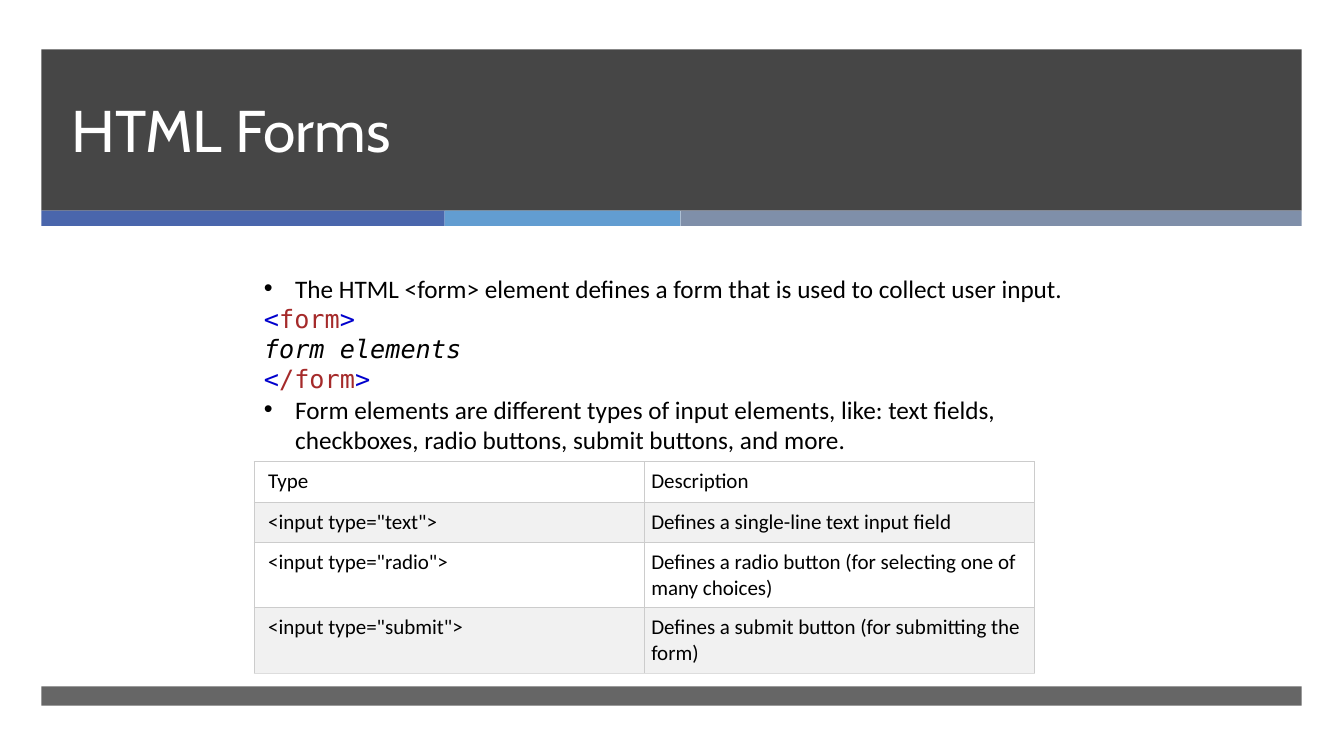
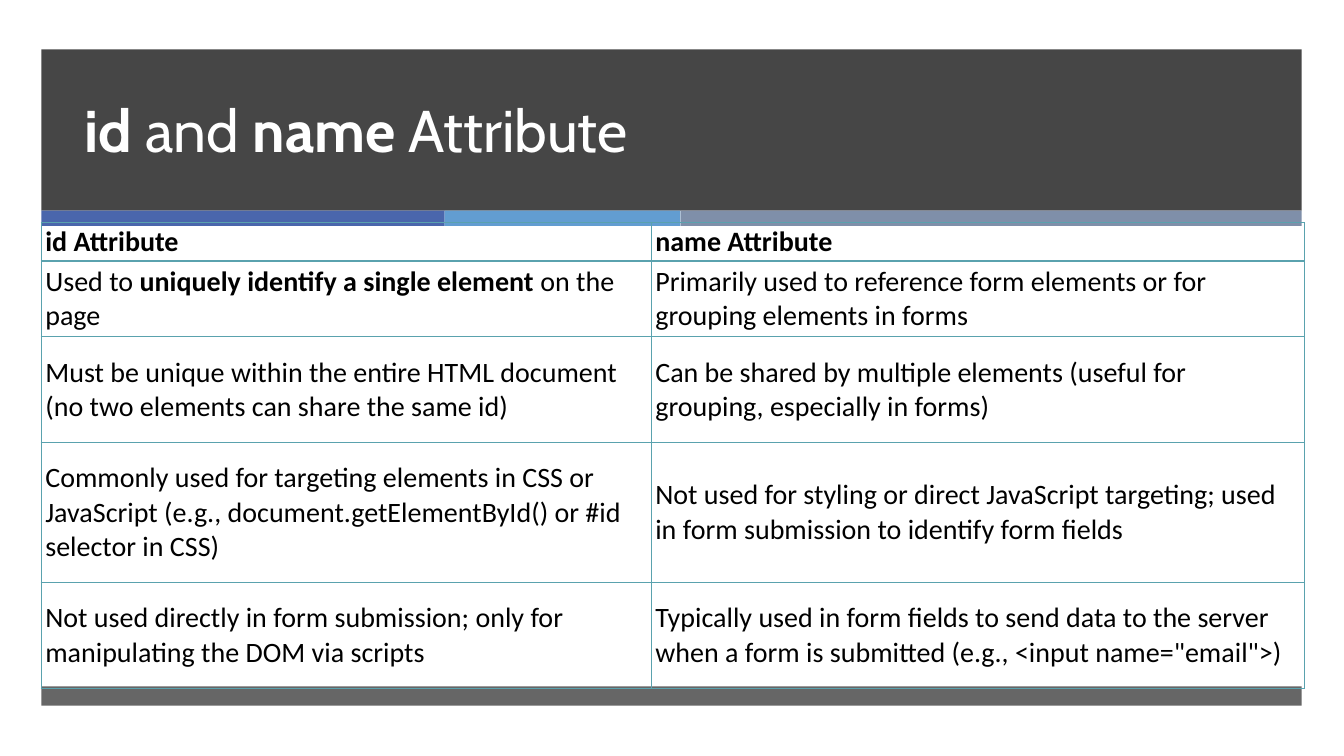
from lxml.etree import SubElement
from pptx import Presentation
from pptx.dml.color import RGBColor
from pptx.enum.shapes import MSO_SHAPE
from pptx.enum.text import MSO_ANCHOR
from pptx.oxml.ns import qn
from pptx.util import Inches, Pt

WHITE = RGBColor(0xFF, 0xFF, 0xFF)
BLACK = RGBColor(0x00, 0x00, 0x00)
CHARCOAL = RGBColor(0x26, 0x26, 0x26)
INDIGO = RGBColor(0x4A, 0x66, 0xAC)
SKY = RGBColor(0x62, 0x9D, 0xD1)
SLATE = RGBColor(0x7F, 0x8F, 0xA9)
TEAL = RGBColor(0x5A, 0xA2, 0xAE)
STRIPE = RGBColor(0xF1, 0xF1, 0xF1)
RULE = RGBColor(0xCC, 0xCC, 0xCC)
LAST_RULE = RGBColor(0xDD, 0xDD, 0xDD)
BRACKET = RGBColor(0x00, 0x00, 0xCD)
TAG = RGBColor(0xA5, 0x2A, 0x2A)

TITLE = {"name": "Cabin", "size": Pt(42), "color": WHITE}
BODY = {"name": "Calibri", "size": Pt(18), "color": BLACK}
CODE = {**BODY, "name": "DejaVu Sans Mono"}
SMALL = {**BODY, "size": Pt(15)}
LARGE = {**BODY, "size": Pt(20)}
BOLD = {"bold": True}

BAND_LEFT = 0.41
BAND_WIDTH = 12.5
STRIPES = [(4, INDIGO), (2.34, SKY), (6.16, SLATE)]


class Slides:
    def __init__(self):
        self.deck = Presentation()
        self.deck.slide_width = Inches(13.33)
        self.deck.slide_height = Inches(7.5)
        self.page = None

    def start(self, title, indent=0.1):
        self.page = self.deck.slides.add_slide(self.deck.slide_layouts[6])
        self.band(BAND_LEFT, 0.49, BAND_WIDTH, 1.6, CHARCOAL, 85)
        left = BAND_LEFT
        for width, color in STRIPES:
            self.band(left, 2.09, width, 0.15, color)
            left += width
        self.band(BAND_LEFT, 6.81, BAND_WIDTH, 0.19, CHARCOAL, 70)
        frame = self.frame(0.61, 0.49, 11.39, 1.19)
        frame.margin_left = Inches(indent)
        frame.vertical_anchor = MSO_ANCHOR.BOTTOM
        para = frame.paragraphs[0]
        para.line_spacing = Pt(46)
        self.add_spans(para, title, TITLE)

    def band(self, left, top, width, height, color, opacity=100):
        box = self.page.shapes.add_shape(
            MSO_SHAPE.RECTANGLE, Inches(left), Inches(top), Inches(width), Inches(height))
        box.shadow.inherit = False
        box.line.fill.background()
        box.fill.solid()
        box.fill.fore_color.rgb = color
        if opacity < 100:
            for tint in box.element.spPr.iter(qn("a:srgbClr")):
                SubElement(tint, qn("a:alpha"), val=str(opacity * 1000))

    def frame(self, left, top, width, height):
        box = self.page.shapes.add_textbox(
            Inches(left), Inches(top), Inches(width), Inches(height))
        box.text_frame.word_wrap = True
        return box.text_frame

    def add_spans(self, para, text, style):
        pieces = [(text, {})] if isinstance(text, str) else text
        for words, changes in pieces:
            span = para.add_run()
            span.text = words.rstrip("\n")
            for name, value in {**style, **changes}.items():
                if name == "color":
                    span.font.color.rgb = value
                else:
                    setattr(span.font, name, value)
            if words.endswith("\n"):
                para.add_line_break()

    def text(self, left, top, width, height, paragraphs):
        frame = self.frame(left, top, width, height)
        for index, (text, style, bulleted) in enumerate(paragraphs):
            para = frame.add_paragraph() if index else frame.paragraphs[0]
            if bulleted:
                properties = para._p.get_or_add_pPr()
                properties.set("marL", str(Inches(0.31)))
                properties.set("indent", str(-Inches(0.31)))
                SubElement(properties, qn("a:buFont"), typeface="Arial")
                SubElement(properties, qn("a:buChar"), char="•")
            self.add_spans(para, text, style)

    def border(self, cell, colors, weight):
        properties = cell._tc.get_or_add_tcPr()
        for side, color in zip("LRTB", colors):
            line = SubElement(properties, qn(f"a:ln{side}"), w=str(Pt(weight)))
            SubElement(SubElement(line, qn("a:solidFill")), qn("a:srgbClr"), val=str(color))

    def table(self, left, top, columns, heights, rows, style, rule, weight,
              margins, anchor=MSO_ANCHOR.TOP, fills=None, last_rule=None, header=None):
        grid = self.page.shapes.add_table(
            len(rows), len(columns), Inches(left), Inches(top),
            Inches(sum(columns)), Inches(sum(heights))).table
        grid.first_row = grid.horz_banding = False
        for column, width in zip(grid.columns, columns):
            column.width = Inches(width)
        for index, (row, height, texts) in enumerate(zip(grid.rows, heights, rows)):
            row.height = Inches(height)
            bottom = last_rule if last_rule and index == len(rows) - 1 else rule
            row_style = {**style, **(header or {})} if index == 0 else style
            for cell, text, (first, other, edge) in zip(row.cells, texts, margins):
                layout = {"margin_left": Inches(first), "margin_right": Inches(other),
                          "margin_top": Inches(edge), "margin_bottom": Inches(edge),
                          "vertical_anchor": anchor}
                for name, value in layout.items():
                    setattr(cell, name, value)
                self.border(cell, [rule, rule, rule, bottom], weight)
                if fills:
                    cell.fill.solid()
                    cell.fill.fore_color.rgb = fills[index % len(fills)]
                else:
                    cell.fill.background()
                self.add_spans(cell.text_frame.paragraphs[0], text, row_style)


def forms_slide(slides):
    slides.start("HTML Forms")
    bracket, tag = {"color": BRACKET}, {"color": TAG}
    slides.text(2.52, 2.66, 8.66, 1.92, [
        ("The HTML <form> element defines a form that is used to collect user input.",
         BODY, True),
        ([("<", bracket), ("form", tag), (">\n", bracket),
          ("form elements\n", {"italic": True}),
          ("<", bracket), ("/form", tag), (">", bracket)], CODE, False),
        ("Form elements are different types of input elements, like: text fields, "
         "checkboxes, radio buttons, submit buttons, and more.", BODY, True),
    ])
    rows = [
        ("Type", "Description"),
        ('<input type="text">', "Defines a single-line text input field"),
        ('<input type="radio">', "Defines a radio button (for selecting one of many choices)"),
        ('<input type="submit">', "Defines a submit button (for submitting the form)"),
    ]
    slides.table(2.52, 4.58, [3.87, 3.87], [0.4, 0.4, 0.65, 0.65], rows, SMALL, RULE, 0.75,
                 margins=[(0.14, 0.07, 0.07), (0.07, 0.07, 0.07)],
                 fills=[WHITE, STRIPE], last_rule=LAST_RULE)


def attributes_slide(slides):
    slides.start([("id", BOLD), (" and ", {}), ("name", BOLD), (" Attribute", {})], 0.23)
    rows = [
        ("id Attribute", "name Attribute"),
        ([("Used to ", {}), ("uniquely identify a single element ", BOLD), ("on the page", {})],
         "Primarily used to reference form elements or for grouping elements in forms"),
        ("Must be unique within the entire HTML document "
         "(no two elements can share the same id)",
         "Can be shared by multiple elements (useful for grouping, especially in forms)"),
        ("Commonly used for targeting elements in CSS or JavaScript "
         "(e.g., document.getElementById() or #id selector in CSS)",
         "Not used for styling or direct JavaScript targeting; "
         "used in form submission to identify form fields"),
        ("Not used directly in form submission; only for manipulating the DOM via scripts",
         "Typically used in form fields to send data to the server "
         'when a form is submitted (e.g., <input name="email">)'),
    ]
    slides.table(BAND_LEFT, 2.21, [6.05, 6.48], [0.38, 0.75, 1.05, 1.39, 1.05], rows,
                 LARGE, TEAL, 1, margins=[(0.04, 0.04, 0.02)] * 2,
                 anchor=MSO_ANCHOR.MIDDLE, header=BOLD)


def main():
    slides = Slides()
    forms_slide(slides)
    attributes_slide(slides)
    slides.deck.save("out.pptx")


if __name__ == "__main__":
    main()
